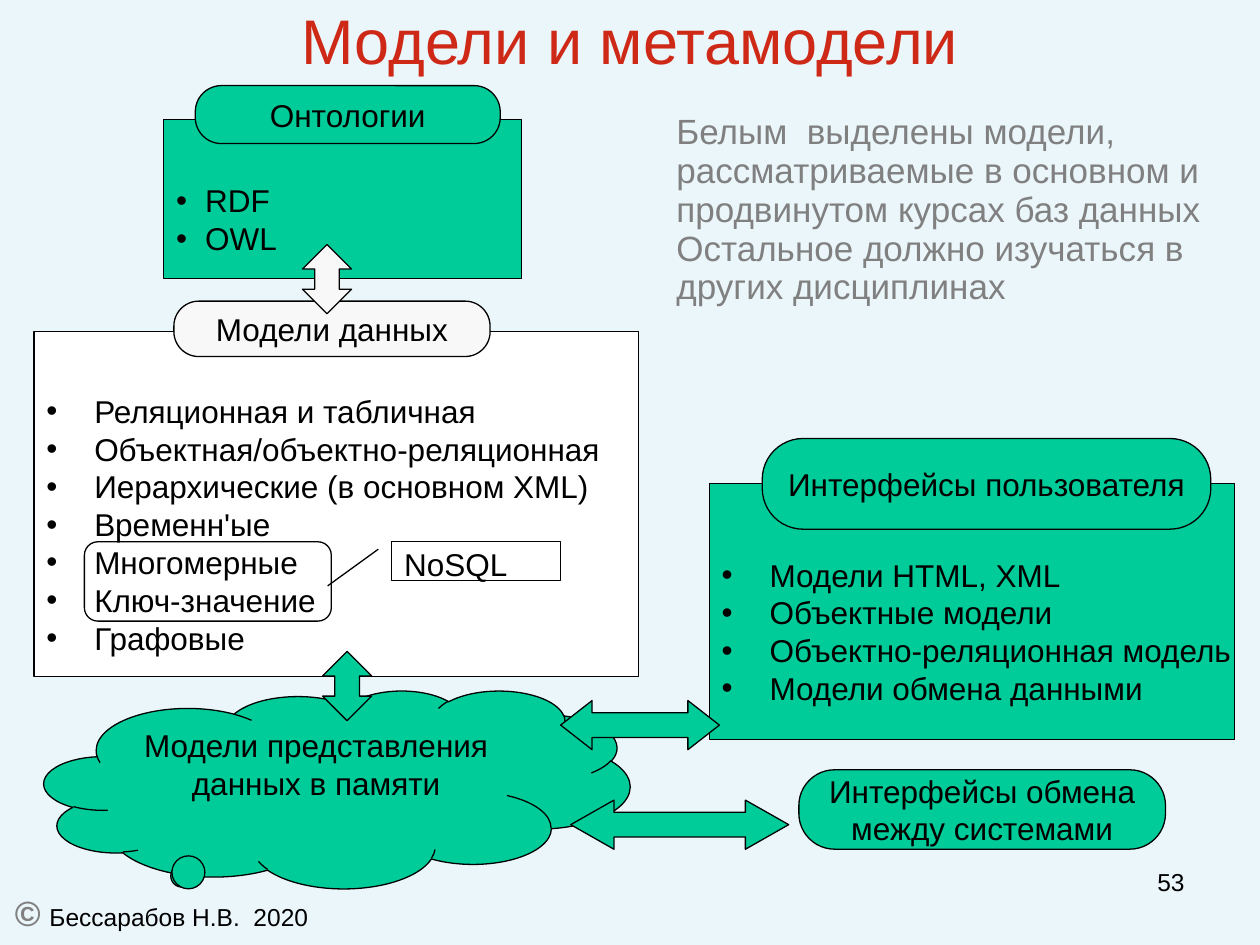
import pptx
import pptx.util
import pptx.dml.color
import pptx.enum.shapes
import pptx.enum.text
from lxml import etree

COLORS = {"back": "EBF6FB", "title": "CE2816", "text": "000000", "muted": "808080",
          "green": "00CC99", "pale": "F8F8F8", "white": "FFFFFF"}
FONT = "Arial"
LEADING = 1.2  # line height as a share of the text size

# The slide is a grid of 100 columns by 75 rows; places are (column, row, columns, rows)
COLUMNS, ROWS = 100, 75
CELL = pptx.util.Inches(0.1)

KIND = pptx.enum.shapes.MSO_SHAPE
ALIGN = pptx.enum.text.PP_ALIGN
ANCHOR = pptx.enum.text.MSO_ANCHOR

# Content: panels with a rounded caption over the top edge
PANELS = [
    {"caption": "Онтологии", "caption_place": (15.5, 6.8, 24.2, 4.6), "caption_fill": "green",
     "place": (13, 9.5, 28.4, 12.6), "fill": "green", "hang": 2.3, "first_row": 4.9,
     "items": ["RDF", "OWL"]},
    {"caption": "Модели данных", "caption_place": (13.8, 23.9, 25.1, 4.4), "caption_fill": "pale",
     "place": (2.7, 26.3, 48, 27.4), "fill": "white", "hang": 3.8, "first_row": 4.8,
     "items": ["Реляционная и табличная", "Объектная/объектно-реляционная",
               "Иерархические (в основном XML)", "Временн'ые", "Многомерные",
               "Ключ-значение", "Графовые"]},
    {"caption": "Интерфейсы пользователя", "caption_place": (60.5, 34.8, 35.6, 7.2),
     "caption_fill": "green", "place": (56.3, 38.4, 41.7, 20.3), "fill": "green",
     "hang": 3.8, "first_row": 5.7,
     "items": ["Модели HTML, XML", "Объектные модели", "Объектно-реляционная модель",
               "Модели обмена данными"]},
]
EXCHANGE = ["Интерфейсы обмена", "между системами"]
MEMORY = ["Модели представления данных в памяти"]
REMARK = ["Белым  выделены модели, рассматриваемые в основном и продвинутом курсах баз данных",
          "Остальное должно изучаться в", "других дисциплинах"]

# Content: double arrows as kind, place, adjustments, fill
# (the library lists the shaft of the vertical arrow twice, before its head)
VERTICAL, HORIZONTAL = KIND.UP_DOWN_ARROW, KIND.LEFT_RIGHT_ARROW
ARROWS = [
    (VERTICAL, (24, 19.4, 3.9, 5.5), [0.5, 0.5, 0.28], "pale"),
    (VERTICAL, (25.6, 51.7, 3.9, 5.5), [0.5, 0.5, 0.28], "green"),
    (HORIZONTAL, (44.5, 55.6, 12.6, 3.9), [0.5, 0.64], "green"),
    (HORIZONTAL, (45.3, 63.5, 17.3, 3.9), [0.5, 0.88], "green"),
]


def rgb(name):
    return pptx.dml.color.RGBColor.from_string(COLORS[name])


def to_emu(place):
    return [int(cells * CELL) for cells in place]


def add_bullet(para, hang):
    """Hang the paragraph behind a round bullet."""
    properties = para._p.get_or_add_pPr()
    properties.set("marL", str(int(hang * CELL)))
    properties.set("indent", str(-int(hang * CELL)))
    for tag, key, value in (("a:buFont", "typeface", FONT), ("a:buChar", "char", "•")):
        etree.SubElement(properties, pptx.oxml.ns.qn(tag)).set(key, value)


def write(box, lines, size=18, color="text", align=ALIGN.CENTER, anchor=ANCHOR.MIDDLE,
          wrap=False, hang=None, top=0.5, leading=LEADING):
    """Write paragraphs; a line is a string or a list of (text, size, color, bold) spans."""
    frame = box.text_frame
    frame.word_wrap = wrap
    frame.vertical_anchor = anchor
    frame.margin_left = frame.margin_right = CELL
    frame.margin_top, frame.margin_bottom = int(top * CELL), int(0.5 * CELL)
    for index, line in enumerate(lines):
        para = frame.paragraphs[0] if index == 0 else frame.add_paragraph()
        if hang:
            add_bullet(para, hang)
        para.alignment = align
        para.line_spacing = pptx.util.Pt(round(size * leading, 1))
        spans = [(line, size, color, False)] if isinstance(line, str) else line
        for text, span_size, span_color, bold in spans:
            span = para.add_run()
            span.text = text
            span.font.name = FONT
            span.font.size = pptx.util.Pt(span_size)
            span.font.bold = bold
            span.font.color.rgb = rgb(span_color)


def add_outline(page, kind, place, fill=None, adjust=()):
    shape = page.shapes.add_shape(kind, *to_emu(place))
    shape.shadow.inherit = False
    for index, value in enumerate(adjust):
        shape.adjustments[index] = value
    if fill:
        shape.fill.solid()
        shape.fill.fore_color.rgb = rgb(fill)
    else:
        shape.fill.background()
    shape.line.color.rgb = rgb("text")
    shape.line.width = pptx.util.Pt(0.75)
    return shape


def add_text(page, place, lines, **style):
    write(page.shapes.add_textbox(*to_emu(place)), lines, **style)


def add_pill(page, place, lines, fill):
    write(add_outline(page, KIND.ROUNDED_RECTANGLE, place, fill, [0.45]), lines)


def main():
    deck = pptx.Presentation()
    deck.slide_width, deck.slide_height = COLUMNS * CELL, ROWS * CELL
    page = deck.slides.add_slide(deck.slide_layouts[6])
    page.background.fill.solid()
    page.background.fill.fore_color.rgb = rgb("back")

    # Title, page number and copyright line
    add_text(page, (0, 0, COLUMNS, 6.8), ["Модели и метамодели"], size=36, color="title",
             wrap=True, leading=1.1)
    add_text(page, (71.7, 68.3, 23.3, 5.2), ["53"], size=14, align=ALIGN.RIGHT,
             anchor=ANCHOR.TOP, wrap=True)
    add_text(page, (0.2, 70.4, 32, 4.1),
             [[("©", 20, "muted", True), (" ", 18, "text", False),
               ("Бессарабов Н.В.  2020", 14, "text", False)]],
             size=20, align=ALIGN.LEFT, wrap=True)

    # Panels with captions
    for panel in PANELS:
        box = add_outline(page, KIND.RECTANGLE, panel["place"], panel["fill"])
        write(box, panel["items"], align=ALIGN.LEFT, anchor=ANCHOR.TOP,
              hang=panel["hang"], top=panel["first_row"])
        add_pill(page, panel["caption_place"], [panel["caption"]], panel["caption_fill"])
    add_pill(page, (63.4, 61.1, 29.1, 6.3), EXCHANGE, "green")

    # Cloud of in-memory models, then the arrows over it
    cloud = add_outline(page, KIND.CLOUD_CALLOUT, (3.5, 54.8, 46.5, 15.7), "green",
                        [-0.26, 0.43])
    write(cloud, MEMORY, anchor=ANCHOR.TOP, wrap=True)
    for kind, place, adjust, fill in ARROWS:
        add_outline(page, kind, place, fill, adjust)

    # Remark on the colours
    add_text(page, (52.7, 8.4, 47.3, 16.5), REMARK, size=20, color="muted",
             align=ALIGN.LEFT, wrap=True, leading=1.11)

    # NoSQL frame and its callout
    add_outline(page, KIND.ROUNDED_RECTANGLE, (6.7, 43, 19.6, 6.3), adjust=[0.17])
    callout = add_outline(page, KIND.LINE_CALLOUT_1, (31.1, 43, 13.4, 3.1),
                          adjust=[0.19, -0.08, 1.13, -0.38])
    write(callout, ["NoSQL"], align=ALIGN.LEFT, anchor=ANCHOR.TOP, wrap=True, leading=1.1)

    deck.save("out.pptx")


if __name__ == "__main__":
    main()
